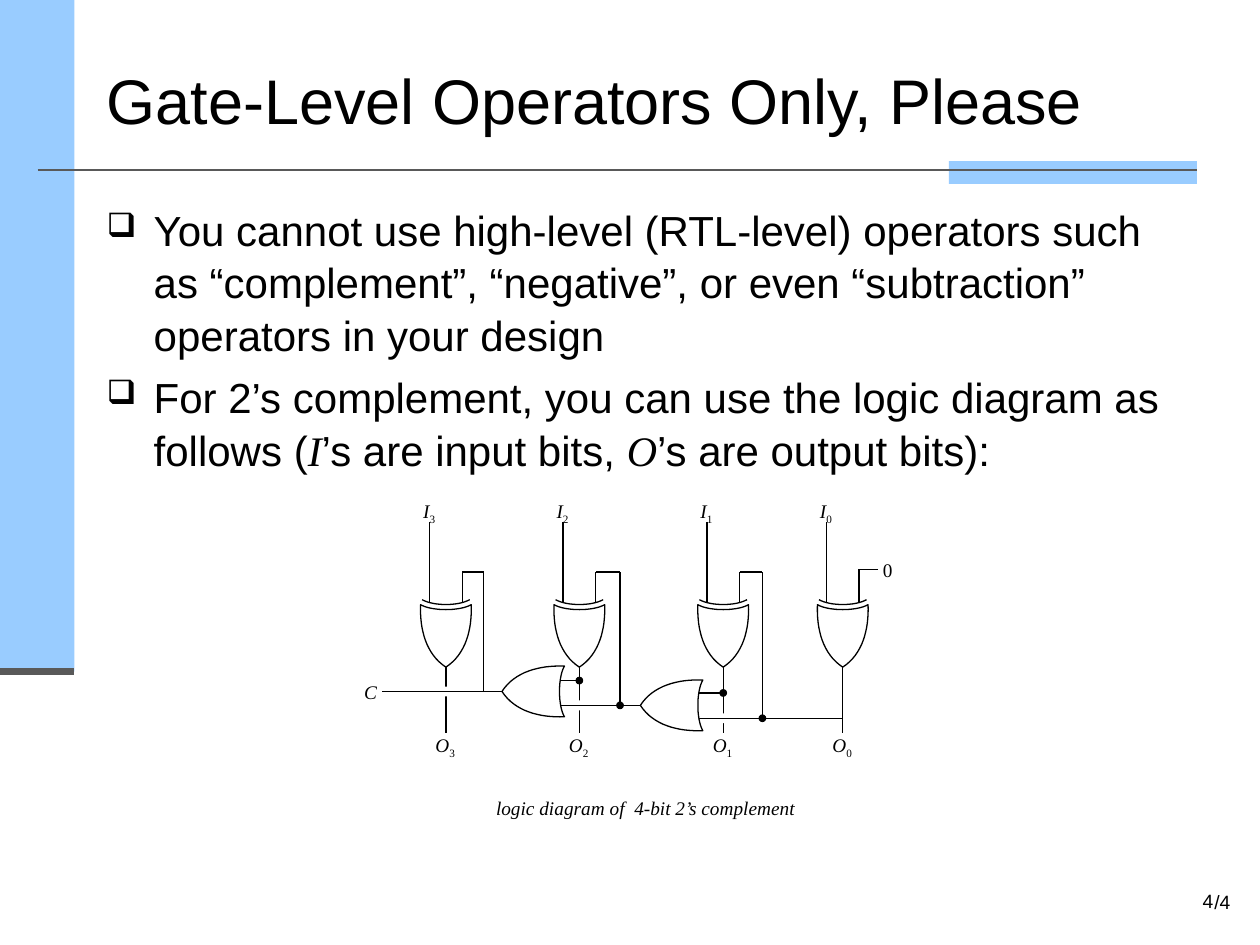
from itertools import pairwise

from lxml import etree
from pptx import Presentation
from pptx.dml.color import RGBColor
from pptx.enum.shapes import MSO_CONNECTOR, MSO_SHAPE
from pptx.enum.text import MSO_ANCHOR, MSO_AUTO_SIZE, PP_ALIGN
from pptx.oxml.ns import qn
from pptx.util import Cm, Pt

STRAIGHT = MSO_CONNECTOR.STRAIGHT
RECTANGLE, OVAL = MSO_SHAPE.RECTANGLE, MSO_SHAPE.OVAL
MIDDLE, RIGHT = MSO_ANCHOR.MIDDLE, PP_ALIGN.RIGHT
FIT_TEXT = MSO_AUTO_SIZE.SHAPE_TO_FIT_TEXT

COLORS = {name: RGBColor.from_string(value) for name, value in {
    "blue": "99CCFF", "gray": "595959", "black": "000000", "white": "FFFFFF"}.items()}
SANS = {"name": "Arial", "italic": False}
SERIF = {"name": "Times New Roman", "italic": False}
ITALIC = {"name": "Times New Roman", "italic": True}

presentation = Presentation()
presentation.slide_width, presentation.slide_height = Cm(25.4), Cm(19.05)
slide = presentation.slides.add_slide(presentation.slide_layouts[6])
shapes = slide.shapes


def add_text(box, paragraphs, size, frame_format):
    """Add a text box; each paragraph is a list of (text, font format, baseline)."""
    frame = shapes.add_textbox(*map(Cm, box)).text_frame
    for name, value in frame_format.items():
        setattr(frame, name, value)
    for index, runs in enumerate(paragraphs):
        paragraph = frame.add_paragraph() if index else frame.paragraphs[0]
        for text, font_format, baseline in runs:
            run = paragraph.add_run()
            run.text = text
            run.font.size = Pt(size)
            run.font.color.rgb = COLORS["black"]
            for name, value in font_format.items():
                setattr(run.font, name, value)
            if baseline:
                run.font._element.set("baseline", str(baseline))
    return frame


def add_route(points, color="black", width=0.75):
    """Join the points with straight connectors."""
    for start, end in pairwise(points):
        connector = shapes.add_connector(STRAIGHT, *map(Cm, start + end))
        connector.line.color.rgb = COLORS[color]
        connector.line.width = Pt(width)
        etree.SubElement(connector._element.spPr, qn("a:effectLst"))


# Frame of the slide
for box in [(19.13, 3.25, 5.0, 0.46), (0, 0, 1.5, 13.54)]:
    panel = shapes.add_shape(RECTANGLE, *map(Cm, box))
    panel.shadow.inherit = False
    panel.fill.solid()
    panel.fill.fore_color.rgb = COLORS["blue"]
    panel.line.fill.background()
add_route([(0, 13.54), (1.5, 13.54)], "gray", 4)
add_route([(0.76, 3.43), (24.13, 3.43)], "gray", 1.5)

# Title, body and page number
add_text((1.9, 0.76, 22.23, 2.49), [[("Gate-Level Operators Only, Please", SANS, 0)]], 36,
         {"word_wrap": True, "vertical_anchor": MIDDLE})
body = add_text((1.9, 3.94, 22.23, 13.08), [
    [("You cannot use high-level (RTL-level) operators such as “complement”, "
      "“negative”, or even “subtraction” operators in your design", SANS, 0)],
    [("For 2’s complement, you can use the logic diagram as follows (", SANS, 0),
     ("I", ITALIC, 0), ("’s are input bits, ", SANS, 0),
     ("O", ITALIC, 0), ("’s are output bits):", SANS, 0)],
], 24, {"word_wrap": True})
for paragraph in body.paragraphs:
    paragraph.line_spacing = 1.05
    paragraph.space_before = Pt(4.8)
    properties = paragraph._p.get_or_add_pPr()
    properties.set("marL", str(Cm(0.95)))
    properties.set("indent", str(-Cm(0.95)))
    etree.SubElement(properties, qn("a:buSzPct")).set("val", "80000")
    etree.SubElement(properties, qn("a:buChar")).set("char", "❑")
add_text((24.23, 17.83, 0.84, 0.74), [[("/4", SANS, 0)]], 11, {"word_wrap": False})
page_number = add_text((18.21, 17.65, 6.5, 1.02), [[("4", SANS, 0)]], 11,
                       {"word_wrap": True, "vertical_anchor": MIDDLE})
page_number.paragraphs[0].alignment = RIGHT

# Diagram positions
bit_centers = {3: 8.99, 2: 11.68, 1: 14.58, 0: 16.99}
gate_top, pin_offset = 12.19, 0.33
carry_levels = {3: 13.94, 2: 14.22, 1: 14.48}
carry_risers = {3: 9.75, 2: 12.5, 1: 15.37}
or_gates = {2: (11.38, 13.94), 1: (14.17, 14.22)}  # flat side x, centre y

# Diagram labels
labels = [(17.7, 11.25, 0.41, [("0", SERIF, 0)]),
          (7.24, 13.72, 0.46, [("C", ITALIC, 0)]),
          (9.9, 16.05, 6.3, [("logic diagram of  4-bit 2’s complement", ITALIC, 0)])]
for bit, center in bit_centers.items():
    subscript = (str(bit), SERIF, -25000)
    labels += [(center - 0.56, 10.06, 0.46, [("I", ITALIC, 0), subscript]),
               (center - 0.31, 14.78, 0.61, [("O", ITALIC, 0), subscript])]
for left, top, width, runs in labels:
    add_text((left, top, width, 0.48), [runs], 11, {
        "word_wrap": False, "auto_size": FIT_TEXT, "margin_left": Cm(0.1),
        "margin_right": Cm(0.1), "margin_top": 0, "margin_bottom": 0})

# Input and output wires, carry risers
for bit, center in bit_centers.items():
    add_route([(center - pin_offset, 10.52), (center - pin_offset, 12.16)])
    add_route([(center, 13.4), (center, 14.78)])
    pin = center + pin_offset
    if bit:
        riser = carry_risers[bit]
        add_route([(riser, carry_levels[bit]), (riser, 11.53), (pin, 11.53), (pin, 12.16)])
    else:
        add_route([(17.7, 11.48), (pin, 11.48), (pin, 12.16)])

# Gaps where an output wire passes a carry wire, and dots where wires meet
marks = [(RECTANGLE, "white", bit_centers[bit], level, 0.13, 0.2)
         for bit, level in carry_levels.items()]
marks += [(OVAL, "black", x, y, 0.13, 0.13) for x, y in [
    (bit_centers[2], 13.72), (bit_centers[1], 13.97),
    (carry_risers[2], carry_levels[2]), (carry_risers[1], carry_levels[1])]]
for kind, color, x, y, width, height in marks:
    mark = shapes.add_shape(kind, Cm(x - width / 2), Cm(y - height / 2), Cm(width), Cm(height))
    mark.shadow.inherit = False
    mark.fill.solid()
    mark.fill.fore_color.rgb = COLORS[color]
    mark.line.color.rgb = COLORS[color]
    mark.line.width = Pt(0.75)
    if kind == RECTANGLE:
        mark.line.fill.background()

# Carry wires and taps into the OR gates
add_route([(10.11, carry_levels[3]), (7.7, carry_levels[3])])
add_route([(11.28, carry_levels[2]), (12.93, carry_levels[2])])
add_route([(14.07, carry_levels[1]), (bit_centers[0], carry_levels[1])])
add_route([(bit_centers[2], 13.72), (11.28, 13.72)])
add_route([(bit_centers[1], 13.97), (14.07, 13.97)])

# Gate outlines from Bezier curves, relative to the middle of the flat side
curves = {"flat": [(0, 0.1), (0.25, 0.1), (0.43, 0.05), (0.51, 0)],
          "side": [(0.51, 0), (0.53, 0.5), (0.4, 1.0), (0, 1.26)],
          "bar": [(-0.48, -0.1), (-0.25, 0.03), (0.25, 0.03), (0.48, -0.1)]}
steps = 16
sampled = {}
for name, controls in curves.items():
    sampled[name] = []
    for step in range(steps + 1):
        t = step / steps
        weights = [(1 - t) ** 3, 3 * t * (1 - t) ** 2, 3 * t ** 2 * (1 - t), t ** 3]
        sampled[name].append(tuple(
            sum(weight * point[axis] for weight, point in zip(weights, controls))
            for axis in (0, 1)))
half = sampled["flat"] + sampled["side"][1:]
gate = half + [(-across, along) for across, along in reversed(half[1:-1])]

outlines = [([(x - along, y + across) for across, along in gate], True)
            for x, y in or_gates.values()]
for center in bit_centers.values():
    outlines += [([(center + across, gate_top + along) for across, along in points], closed)
                 for points, closed in [(gate, True), (sampled["bar"], False)]]
for points, closed in outlines:
    points = [(Cm(x), Cm(y)) for x, y in points]
    builder = shapes.build_freeform(*points[0])
    builder.add_line_segments(points[1:], close=closed)
    outline = builder.convert_to_shape()
    outline.shadow.inherit = False
    outline.line.color.rgb = COLORS["black"]
    outline.line.width = Pt(0.75)
    if closed:
        outline.fill.solid()
        outline.fill.fore_color.rgb = COLORS["white"]
    else:
        outline.fill.background()

presentation.save("out.pptx")
